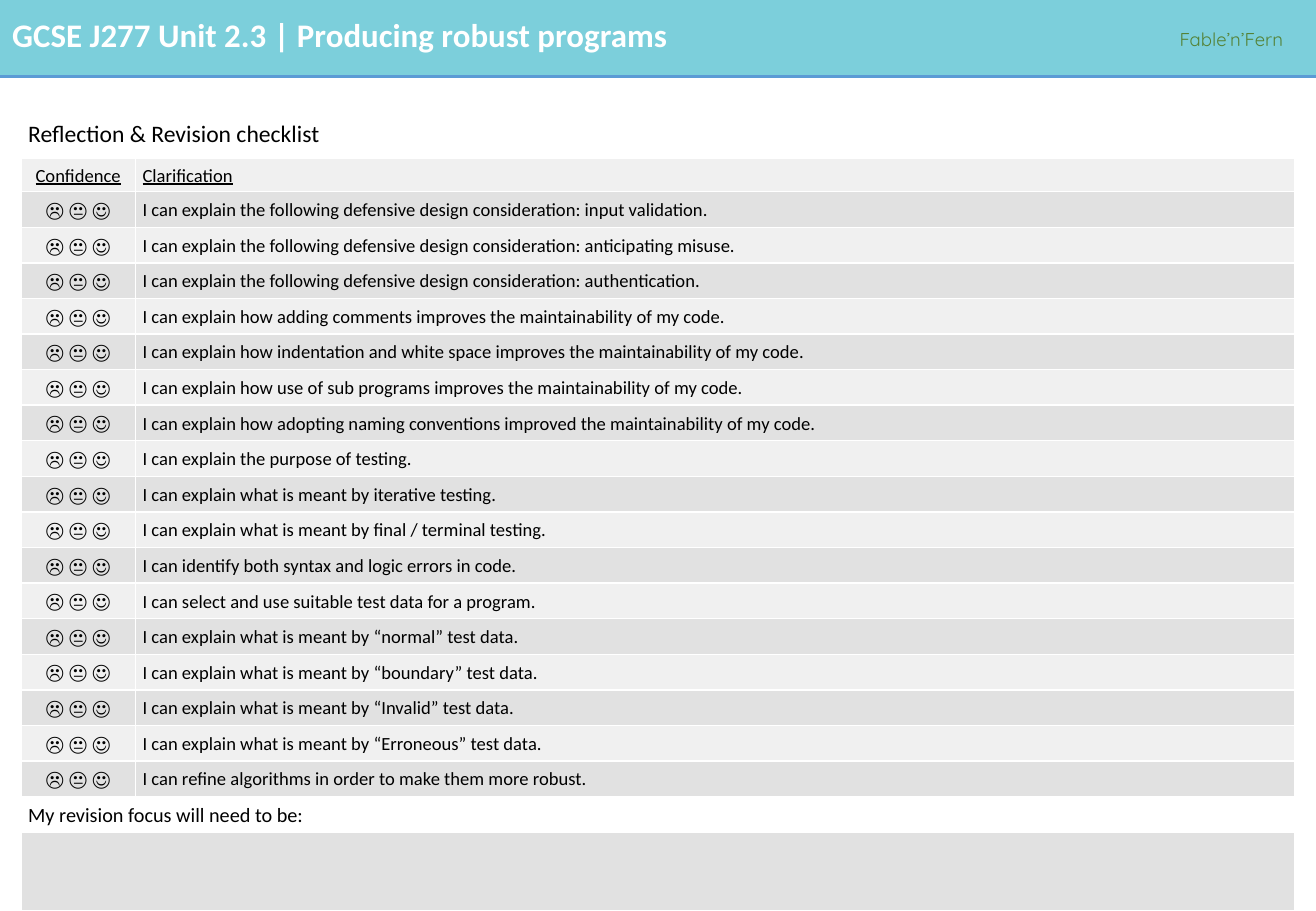
from dataclasses import dataclass

from lxml.etree import SubElement
from pptx import Presentation
from pptx.dml.color import RGBColor
from pptx.enum.shapes import MSO_CONNECTOR, MSO_SHAPE
from pptx.enum.text import MSO_ANCHOR, MSO_AUTO_SIZE, PP_ALIGN
from pptx.oxml.ns import qn
from pptx.util import Cm, Pt


@dataclass(frozen=True)
class Theme:
    body_font: str = "Calibri"
    brand_font: str = "Quicksand"
    band: str = "7CCFDB"
    rule: str = "5B9BD5"
    brand: str = "548235"
    text: str = "000000"
    white: str = "FFFFFF"
    light: str = "F0F0F0"
    dark: str = "E1E1E1"
    title_size: float = 19.5
    heading_size: float = 14
    label_size: float = 12
    text_size: float = 11


THEME = Theme()
WIDTH, HEIGHT = Cm(27.51), Cm(19.05)
BAND_HEIGHT = Cm(1.6)
FACES = "☹ 😐 ☺"
LINE_SPACING = 1.07
HEADING_HEIGHT, HEADER_HEIGHT, ROW_HEIGHT, NOTES_HEIGHT = Cm(1.25), Cm(0.69), Cm(0.74), Cm(1.65)
STATEMENTS = [
    "I can explain the following defensive design consideration: input validation.",
    "I can explain the following defensive design consideration: anticipating misuse.",
    "I can explain the following defensive design consideration: authentication.",
    "I can explain how adding comments improves the maintainability of my code.",
    "I can explain how indentation and white space improves the maintainability of my code.",
    "I can explain how use of sub programs improves the maintainability of my code.",
    "I can explain how adopting naming conventions improved the maintainability of my code.",
    "I can explain the purpose of testing.",
    "I can explain what is meant by iterative testing.",
    "I can explain what is meant by final / terminal testing.",
    "I can identify both syntax and logic errors in code.",
    "I can select and use suitable test data for a program.",
    "I can explain what is meant by “normal” test data.",
    "I can explain what is meant by “boundary” test data.",
    "I can explain what is meant by “Invalid” test data.",
    "I can explain what is meant by “Erroneous” test data.",
    "I can refine algorithms in order to make them more robust.",
]


def set_attributes(target, values):
    for name, value in values.items():
        setattr(target, name, value)


def write(tf, text, size, color=THEME.text, font=THEME.body_font, align=PP_ALIGN.LEFT,
          spacing=LINE_SPACING, **font_format):
    p = tf.paragraphs[0]
    set_attributes(p, {"alignment": align, "line_spacing": spacing})
    r = p.add_run()
    r.text = text
    set_attributes(r.font, {"name": font, "size": Pt(size), **font_format})
    r.font.color.rgb = RGBColor.from_string(color)


def add_band(s):
    """Draw the coloured strip and the rule along its lower edge."""
    band = s.shapes.add_shape(MSO_SHAPE.RECTANGLE, 0, 0, WIDTH, BAND_HEIGHT)
    band.shadow.inherit = False
    band.fill.solid()
    band.fill.fore_color.rgb = RGBColor.from_string(THEME.band)
    band.line.fill.background()
    rule = s.shapes.add_connector(MSO_CONNECTOR.STRAIGHT, 0, BAND_HEIGHT, WIDTH, BAND_HEIGHT)
    rule.line.width = Pt(2.25)
    rule.line.color.rgb = RGBColor.from_string(THEME.rule)
    SubElement(rule.element.spPr, qn("a:effectLst"))


def add_title(s, text):
    title = s.shapes.title
    set_attributes(title, {"left": 0, "top": Cm(0.18), "width": Cm(24.08), "height": Cm(1.09)})
    tf = title.text_frame
    set_attributes(tf, {"vertical_anchor": MSO_ANCHOR.MIDDLE, "auto_size": MSO_AUTO_SIZE.NONE})
    write(tf, text, THEME.title_size, THEME.white, spacing=1.0, bold=True)
    title.element.getparent().append(title.element)  # in front of the band


def add_brand(s, text):
    tf = s.shapes.add_textbox(Cm(24.41), Cm(0.43), Cm(3.1), Cm(0.74)).text_frame
    tf.word_wrap = False
    write(tf, text, THEME.text_size, THEME.brand, THEME.brand_font)


def format_cell(cell, fill):
    set_attributes(cell, {"margin_left": Cm(0.15), "margin_right": Cm(0.15), "margin_top": Cm(0.1),
                          "margin_bottom": Cm(0.1), "vertical_anchor": MSO_ANCHOR.MIDDLE})
    properties = cell._tc.get_or_add_tcPr()
    for side in ("lnL", "lnR", "lnT", "lnB"):
        line = SubElement(properties, qn(f"a:{side}"), w=str(Pt(1)))
        SubElement(SubElement(line, qn("a:solidFill")), qn("a:srgbClr"), val=THEME.white)
    cell.fill.solid()
    cell.fill.fore_color.rgb = RGBColor.from_string(fill)


def add_checklist(s):
    heights = [HEADING_HEIGHT, HEADER_HEIGHT, *[ROW_HEIGHT] * (len(STATEMENTS) + 1), NOTES_HEIGHT]
    fills = [THEME.white, THEME.light,
             *[(THEME.dark, THEME.light)[i % 2] for i in range(len(STATEMENTS))],
             THEME.white, THEME.dark]
    columns = [Cm(2.39), Cm(24.23)]
    table = s.shapes.add_table(len(heights), len(columns), Cm(0.44), Cm(2.06),
                               sum(columns), sum(heights)).table
    set_attributes(table, {"first_row": False, "horz_banding": False})
    for column, width in zip(table.columns, columns):
        column.width = width
    for row, height, fill in zip(table.rows, heights, fills):
        row.height = height
        for cell in row.cells:
            format_cell(cell, fill)

    focus, notes = len(heights) - 2, len(heights) - 1
    for i in (0, focus, notes):
        table.cell(i, 0).merge(table.cell(i, 1))

    heading = table.cell(0, 0)
    set_attributes(heading, {"margin_top": Cm(0.41), "margin_bottom": Cm(0.2),
                             "vertical_anchor": MSO_ANCHOR.TOP})
    write(heading.text_frame, "Reflection & Revision checklist", THEME.heading_size)
    write(table.cell(1, 0).text_frame, "Confidence", THEME.text_size,
          align=PP_ALIGN.CENTER, underline=True)
    write(table.cell(1, 1).text_frame, "Clarification", THEME.text_size, underline=True)
    for i, statement in enumerate(STATEMENTS, start=2):
        write(table.cell(i, 0).text_frame, FACES, THEME.label_size, align=PP_ALIGN.CENTER)
        write(table.cell(i, 1).text_frame, statement, THEME.text_size)
    write(table.cell(focus, 0).text_frame, "My revision focus will need to be:", THEME.label_size)


def main():
    prs = Presentation()
    set_attributes(prs, {"slide_width": WIDTH, "slide_height": HEIGHT})
    s = prs.slides.add_slide(prs.slide_layouts.get_by_name("Title Only"))
    add_band(s)
    add_title(s, "GCSE J277 Unit 2.3 | Producing robust programs")
    add_brand(s, "Fable’n’Fern")
    add_checklist(s)
    prs.save("out.pptx")


if __name__ == "__main__":
    main()
